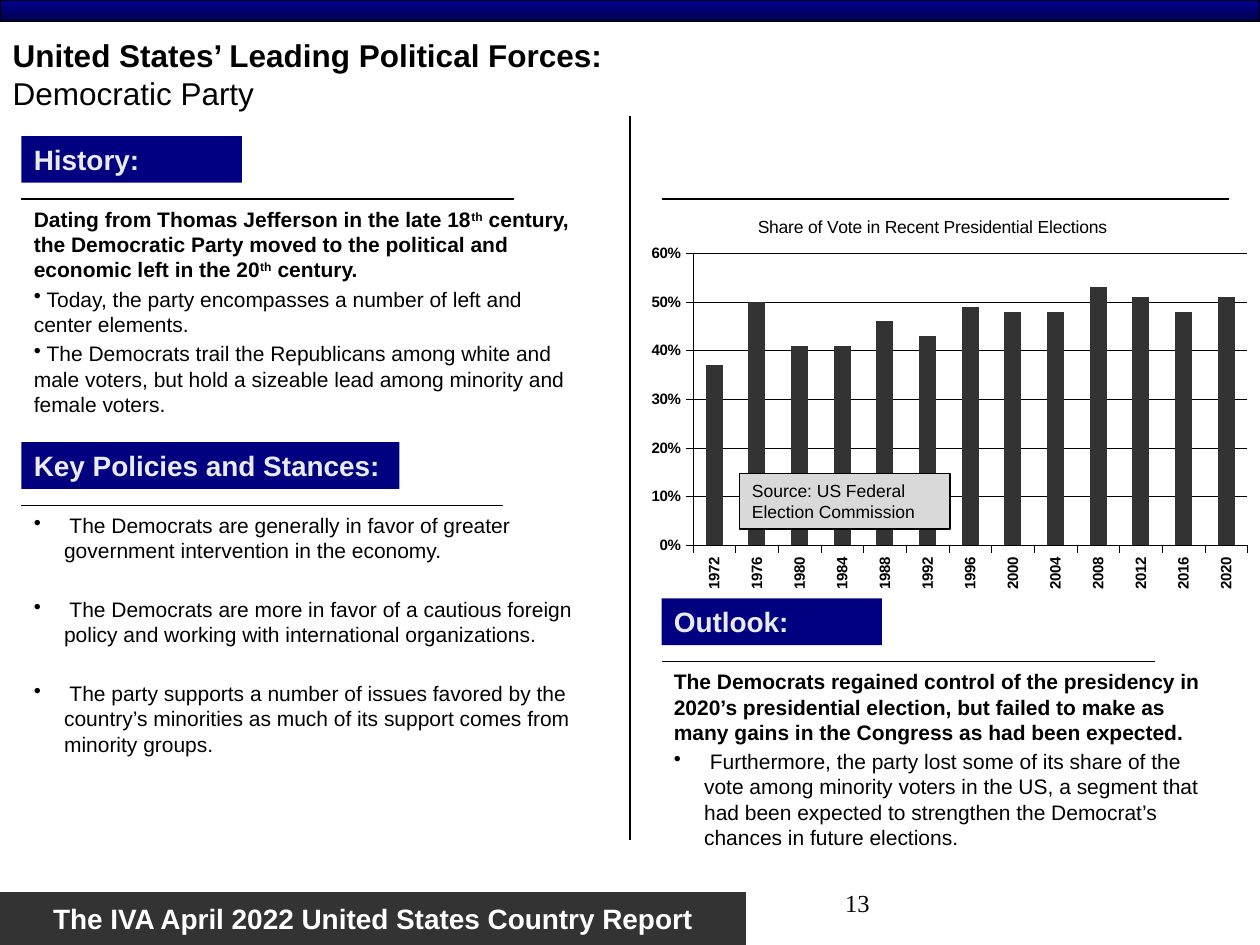
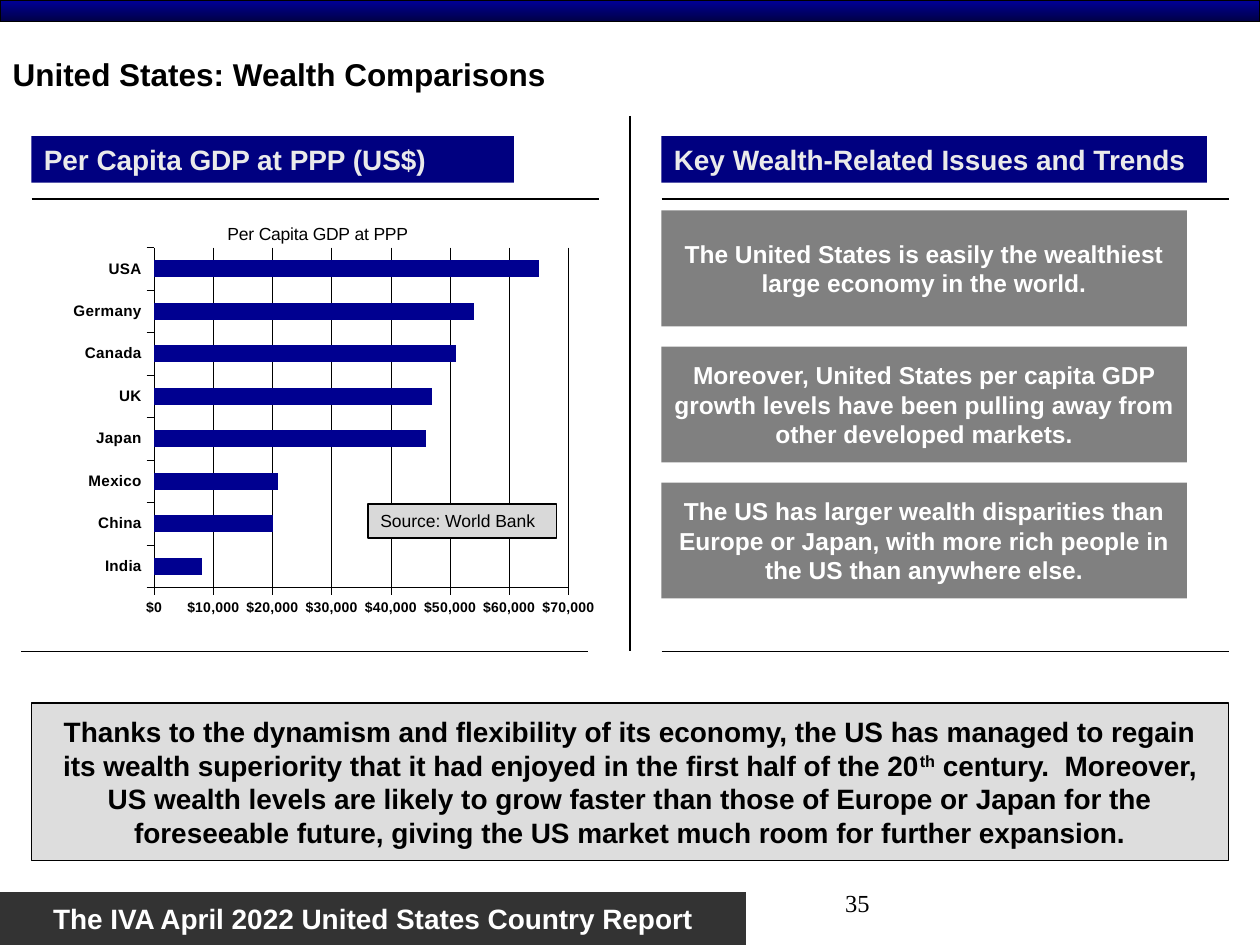
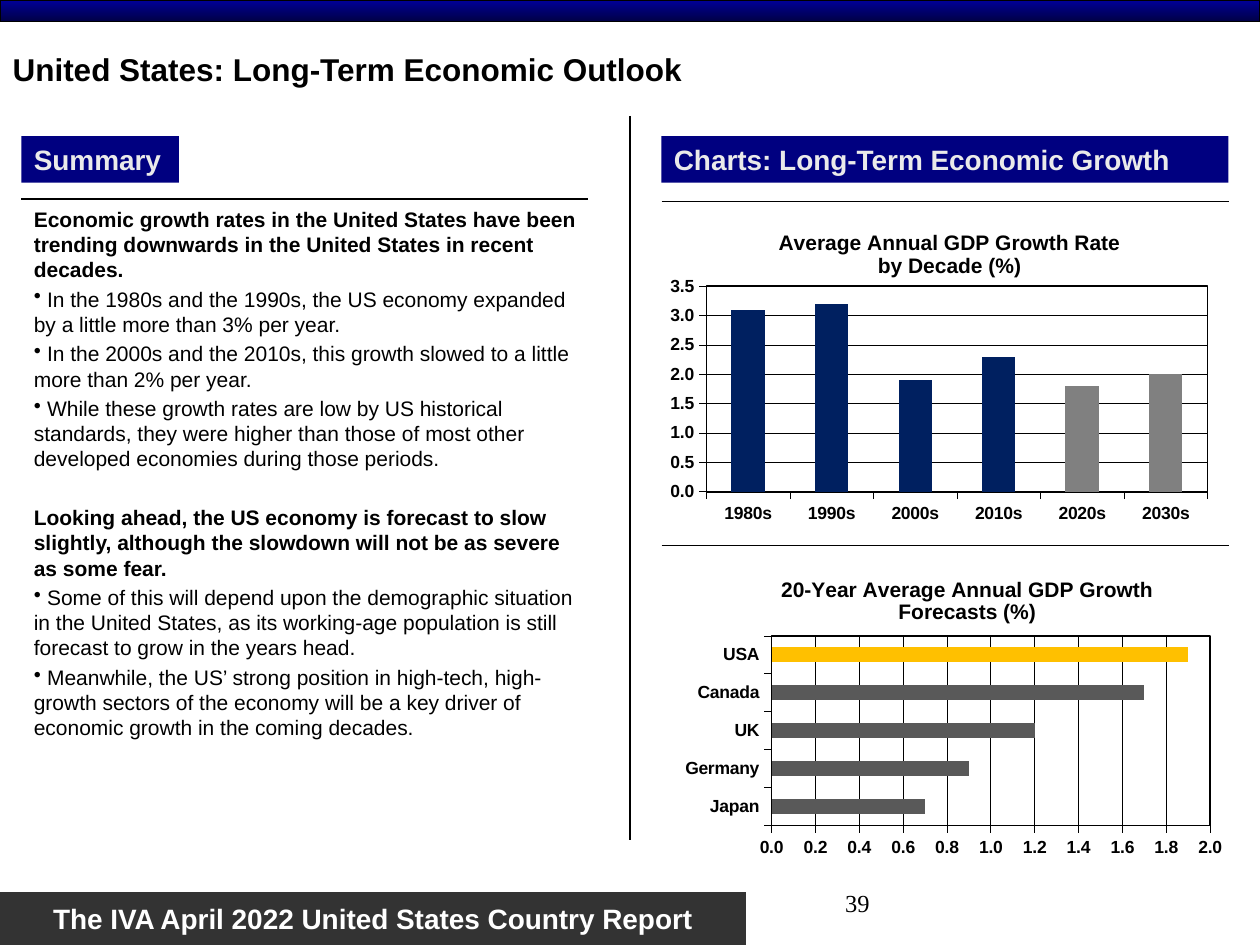
from pptx import Presentation
from pptx.chart.data import CategoryChartData
from pptx.dml.color import RGBColor
from pptx.enum.chart import XL_CHART_TYPE, XL_TICK_LABEL_POSITION, XL_TICK_MARK
from pptx.enum.shapes import MSO_CONNECTOR, MSO_SHAPE
from pptx.enum.text import MSO_ANCHOR, PP_ALIGN
from pptx.oxml import parse_xml
from pptx.oxml.ns import nsdecls, qn
from pptx.util import Inches, Pt

BLACK, WHITE, PALE = "000000", "FFFFFF", "EAEAEA"
NAVY, DARK, GRAY = "000080", "333333", "808080"
LEFT, RIGHT, TOP = 0.17, 5.25, 1.08
GAP = 19.2


def tint(code):
    """Turn a hex string into a colour."""
    return RGBColor.from_string(code)


def apply(item, values):
    """Set each named attribute on an item."""
    for name, value in values.items():
        setattr(item, name, value)


def style(font, size, bold=False, color=BLACK, name="Arial"):
    """Format a font."""
    apply(font, {"size": Pt(size), "bold": bold, "name": name})
    font.color.rgb = tint(color)


def stroke(line, width=0.75):
    """Give a line a black stroke."""
    line.color.rgb = tint(BLACK)
    line.width = Pt(width)


def write(para, text, **look):
    """Add text to a paragraph, raising the parts between carets."""
    for index, part in enumerate(text.split("^")):
        run = para.add_run()
        run.text = part
        style(run.font, **look)
        if index % 2:
            run.font._element.set("baseline", "30000")


def arrange(node, spot, **values):
    """Place a chart part by fractions of the chart's size."""
    old = node.find(qn("c:layout"))
    if old is not None:
        node.remove(old)
    tags = "".join(f'<c:{key} val="{value}"/>' for key, value in values.items())
    node.insert(spot, parse_xml(
        f'<c:layout {nsdecls("c")}><c:manualLayout>{tags}</c:manualLayout></c:layout>'))


class Deck:
    """Holds the presentation, its style and the current slide."""

    def __init__(self):
        """Start an empty deck."""
        self.prs = Presentation()
        apply(self.prs, {"slide_width": Inches(10), "slide_height": Inches(7.5)})

    def start(self, number, title, tail="", top=0.25, height=0.67):
        """Add a slide with its bands, number and title."""
        self.slide = self.prs.slides.add_slide(self.prs.slide_layouts[5])
        self.shapes = self.slide.shapes
        band = self.box(0, 0, 10, 0.17, NAVY, border=True)
        band.fill.gradient()
        band.fill.gradient_angle = 270
        for stop, place, color in zip(band.fill.gradient_stops, (0, 1), ("000099", "000047")):
            stop.position = place
            stop.color.rgb = tint(color)
        foot = self.box(0, 7.08, 5.92, 0.42, DARK, "The IVA April 2022 United States Country Report",
                        align=PP_ALIGN.CENTER, size=16, bold=True, color=WHITE)
        foot.text_frame.word_wrap = False
        page = self.shapes.add_textbox(*map(Inches, (4.92, 7, 2.08, 0.5))).text_frame
        page.word_wrap = True
        page.paragraphs[0].alignment = PP_ALIGN.RIGHT
        write(page.paragraphs[0], str(number), size=14, name="Times New Roman")
        head = self.shapes.title
        apply(head, {"left": 0, "top": Inches(top), "width": Inches(7.25), "height": Inches(height)})
        head.text_frame.vertical_anchor = MSO_ANCHOR.MIDDLE
        para = head.text_frame.paragraphs[0]
        para.alignment = PP_ALIGN.LEFT
        write(para, title, size=18, bold=True)
        if tail:
            para.add_line_break()
            write(para, tail, size=18)

    def box(self, left, top, width, height, fill, text="", border=False,
            align=PP_ALIGN.LEFT, **look):
        """Draw a filled rectangle with optional text."""
        shape = self.shapes.add_shape(MSO_SHAPE.RECTANGLE, *map(Inches, (left, top, width, height)))
        shape.shadow.inherit = False
        shape.fill.solid()
        shape.fill.fore_color.rgb = tint(fill)
        if border:
            stroke(shape.line)
        else:
            shape.line.fill.background()
        if text:
            apply(shape.text_frame, {"word_wrap": True, "vertical_anchor": MSO_ANCHOR.MIDDLE})
            para = shape.text_frame.paragraphs[0]
            para.alignment = align
            write(para, text, **look)
        return shape

    def label(self, left, top, width, text):
        """Draw a section heading."""
        self.box(left, top, width, 0.37, NAVY, text, size=16, bold=True, color=PALE)

    def source(self, left, top, width, height, text):
        """Draw a source note."""
        self.box(left, top, width, height, "D9D9D9", text, border=True, size=10)

    def rule(self, left, top, width=0, height=0):
        """Draw a straight line."""
        line = self.shapes.add_connector(
            MSO_CONNECTOR.STRAIGHT, *map(Inches, (left, top, left + width, top + height)))
        stroke(line.line)
        line._element.spPr.append(parse_xml(f'<a:effectLst {nsdecls("a")}/>'))

    def prose(self, left, top, width, height, items, indent=0):
        """Write paragraphs given as kind, text and space before."""
        frame = self.shapes.add_textbox(*map(Inches, (left, top, width, height))).text_frame
        frame.word_wrap = True
        for index, (kind, text, space) in enumerate(items):
            para = frame.add_paragraph() if index else frame.paragraphs[0]
            if index:
                para.space_before = Pt(space)
            if kind == "point":
                props = para._p.get_or_add_pPr()
                props.set("marL", str(Inches(indent)))
                props.set("indent", str(-Inches(indent)))
                props.append(parse_xml(f'<a:buChar {nsdecls("a")} char="•"/>'))
                text = " " + text
            write(para, text, size=12, bold=kind == "lead")

    def chart(self, kind, at, cats, vals, color, title, spot, plot, scale, form,
              sizes, points=None, head=12, bold=True, thin=0.43, frame=False, turn=False):
        """Draw a bar or column chart with one series."""
        data = CategoryChartData()
        data.categories = cats
        data.add_series("Series 1", vals)
        chart = self.shapes.add_chart(kind, *map(Inches, at), data).chart
        style(chart.font, sizes[0], True)
        apply(chart, {"has_legend": False, "has_title": True})
        words = chart.chart_title.text_frame
        words.text = title
        for para in words.paragraphs:
            style(para.runs[0].font, head, bold)
        edge = {"xMode": "edge", "yMode": "edge"}
        arrange(chart.chart_title._element, 1, **edge, **dict(zip("xy", spot)))
        area = chart._chartSpace.chart.plotArea
        arrange(area, 0, layoutTarget="inner", **edge, **dict(zip("xywh", plot)))
        if frame:
            area.append(parse_xml(
                f'<c:spPr {nsdecls("c", "a")}><a:noFill/><a:ln w="{Pt(1)}"><a:solidFill>'
                f'<a:srgbClr val="{BLACK}"/></a:solidFill></a:ln></c:spPr>'))
        apply(chart.plots[0], {"gap_width": 150, "vary_by_categories": False})
        series = chart.plots[0].series[0]
        series.invert_if_negative = False
        paints = [(series, color)]
        paints += [(series.points[index], code) for index, code in (points or {}).items()]
        for part, code in paints:
            part.format.fill.solid()
            part.format.fill.fore_color.rgb = tint(code)
        for axis, size in zip((chart.category_axis, chart.value_axis), sizes):
            axis.major_tick_mark = XL_TICK_MARK.OUTSIDE
            axis.tick_label_position = XL_TICK_LABEL_POSITION.LOW
            style(axis.tick_labels.font, size, True)
            stroke(axis.format.line, thin)
        if turn:
            body = chart.category_axis._element.find(qn("c:txPr")).find(qn("a:bodyPr"))
            body.set("rot", "-5400000")
            body.set("vert", "horz")
        axis = chart.value_axis
        apply(axis, {"minimum_scale": 0, "maximum_scale": scale[0], "major_unit": scale[1],
                     "has_major_gridlines": True})
        apply(axis.tick_labels, {"number_format": form, "number_format_is_linked": False})
        stroke(axis.major_gridlines.format.line, thin)


def party(deck):
    """Build the party slide."""
    deck.start(13, "United States’ Leading Political Forces:", "Democratic Party")
    deck.rule(5, 0.92, height=5.75)
    deck.rule(RIGHT, 1.58, 4.5)
    for left, top, width, span, text in (
            (LEFT, TOP, 1.75, 3.91, "History:"),
            (LEFT, 3.51, 3, 3.82, "Key Policies and Stances:"),
            (RIGHT, 4.75, 1.75, 3.92, "Outlook:")):
        deck.label(left, top, width, text)
        deck.rule(left, top + 0.5, span)
    deck.prose(LEFT, 1.59, 4.58, 1.79, [
        ("lead", "Dating from Thomas Jefferson in the late 18^th^ century, the Democratic Party moved "
                 "to the political and economic left in the 20^th^ century.", 0),
        ("point", "Today, the party encompasses a number of left and center elements.", 2.4),
        ("point", "The Democrats trail the Republicans among white and male voters, but hold a "
                  "sizeable lead among minority and female voters.", 2.4)])
    deck.prose(LEFT, 4.02, 4.58, 2.67, [
        ("point", "The Democrats are generally in favor of greater government intervention in the "
                  "economy.", 0),
        ("point", "The Democrats are more in favor of a cautious foreign policy and working with "
                  "international organizations.", GAP),
        ("point", "The party supports a number of issues favored by the country’s minorities as much "
                  "of its support comes from minority groups.", GAP)], indent=0.24)
    deck.prose(RIGHT, 5.26, 4.5, 1.42, [
        ("lead", "The Democrats regained control of the presidency in 2020’s presidential election, "
                 "but failed to make as many gains in the Congress as had been expected.", 0),
        ("point", "Furthermore, the party lost some of its share of the vote among minority voters in "
                  "the US, a segment that had been expected to strengthen the Democrat’s chances in "
                  "future elections.", 2.4)], indent=0.24)
    deck.chart(XL_CHART_TYPE.COLUMN_CLUSTERED, (5.06, 1.56, 4.89, 3.22),
               [str(year) for year in range(1972, 2021, 4)],
               (0.37, 0.5, 0.41, 0.41, 0.46, 0.43, 0.49, 0.48, 0.48, 0.53, 0.51, 0.48, 0.51),
               DARK, "Share of Vote in Recent Presidential Elections", (0.19, 0.04),
               (0.09, 0.14, 0.9, 0.72), (0.6, 0.1), "0%", (8.6, 8.6),
               head=10, bold=False, thin=0.25, turn=True)
    deck.source(5.87, 3.76, 1.67, 0.44, "Source: US Federal Election Commission")


def wealth(deck):
    """Build the wealth slide."""
    deck.start(35, "United States: Wealth Comparisons")
    deck.rule(5, 0.92, height=4.25)
    for left, top in ((0.25, 1.58), (RIGHT, 1.58), (LEFT, 5.17), (RIGHT, 5.17)):
        deck.rule(left, top, 4.5)
    deck.label(0.25, TOP, 3.83, "Per Capita GDP at PPP (US$)")
    deck.label(RIGHT, TOP, 4.33, "Key Wealth-Related Issues and Trends")
    deck.chart(XL_CHART_TYPE.BAR_CLUSTERED, (0.06, 1.64, 5.06, 3.25),
               ("India", "China", "Mexico", "Japan", "UK", "Canada", "Germany", "USA"),
               (8000, 20000, 21000, 46000, 47000, 51000, 54000, 65000),
               "000090", "Per Capita GDP at PPP", (0.34, 0.03), (0.23, 0.1, 0.65, 0.83),
               (70000, 10000), "\\$#,##0", (8.7, 8), head=10, bold=False, thin=0.25)
    deck.source(2.92, 4, 1.5, 0.27, "Source: World Bank")
    for index, text in enumerate((
            "The United States is easily the wealthiest large economy in the world.",
            "Moreover, United States per capita GDP growth levels have been pulling away from other "
            "developed markets.",
            "The US has larger wealth disparities than Europe or Japan, with more rich people in the "
            "US than anywhere else.")):
        deck.box(RIGHT, 1.67 + 1.08 * index, 4.17, 0.92, GRAY, text,
                 align=PP_ALIGN.CENTER, size=14, bold=True, color=WHITE)
    deck.box(0.25, 5.58, 9.5, 1.25, "DDDDDD",
             "Thanks to the dynamism and flexibility of its economy, the US has managed to regain its "
             "wealth superiority that it had enjoyed in the first half of the 20^th^ century.  "
             "Moreover, US wealth levels are likely to grow faster than those of Europe or Japan for "
             "the foreseeable future, giving the US market much room for further expansion.",
             border=True, align=PP_ALIGN.CENTER, size=16, bold=True)


def outlook(deck):
    """Build the long-term outlook slide."""
    deck.start(39, "United States: Long-Term Economic Outlook", top=0.17, height=0.75)
    deck.rule(5, 0.92, height=5.75)
    deck.label(LEFT, TOP, 1.25, "Summary")
    deck.label(RIGHT, TOP, 4.5, "Charts: Long-Term Economic Growth")
    for left, top in ((LEFT, 1.58), (RIGHT, 1.6), (RIGHT, 4.33)):
        deck.rule(left, top, 4.5)
    deck.prose(LEFT, 1.59, 4.58, 5.41, [
        ("lead", "Economic growth rates in the United States have been trending downwards in the "
                 "United States in recent decades.", 0),
        ("point", "In the 1980s and the 1990s, the US economy expanded by a little more than 3% per "
                  "year.", 2.4),
        ("point", "In the 2000s and the 2010s, this growth slowed to a little more than 2% per "
                  "year.", 2.4),
        ("point", "While these growth rates are low by US historical standards, they were higher than "
                  "those of most other developed economies during those periods.", 2.4),
        ("lead", "Looking ahead, the US economy is forecast to slow slightly, although the slowdown "
                 "will not be as severe as some fear.", GAP),
        ("point", "Some of this will depend upon the demographic situation in the United States, as "
                  "its working-age population is still forecast to grow in the years head.", 2.4),
        ("point", "Meanwhile, the US’ strong position in high-tech, high-growth sectors of the "
                  "economy will be a key driver of economic growth in the coming decades.", 2.4)])
    deck.chart(XL_CHART_TYPE.COLUMN_CLUSTERED, (5.2, 1.72, 4.52, 2.51),
               ("1980s", "1990s", "2000s", "2010s", "2020s", "2030s"),
               (3.1, 3.2, 1.9, 2.3, 1.8, 2), "002060",
               "Average Annual GDP Growth Rate\nby Decade (%)", (0.21, 0.03),
               (0.09, 0.22, 0.88, 0.65), (3.5, 0.5), "#,##0.0", (10, 10),
               points={4: GRAY, 5: GRAY}, frame=True)
    deck.chart(XL_CHART_TYPE.BAR_CLUSTERED, (5.22, 4.47, 4.52, 2.51),
               ("Japan", "Germany", "UK", "Canada", "USA"), (0.7, 0.9, 1.2, 1.7, 1.9), "595959",
               "20-Year Average Annual GDP Growth Forecasts (%)", (0.21, 0.03),
               (0.2, 0.23, 0.77, 0.6), (2, 0.2), "#,##0.0", (10, 10),
               points={4: "FFC000"}, frame=True)


def main():
    """Build and save the deck."""
    deck = Deck()
    for build in (party, wealth, outlook):
        build(deck)
    deck.prs.save("out.pptx")


if __name__ == "__main__":
    main()
